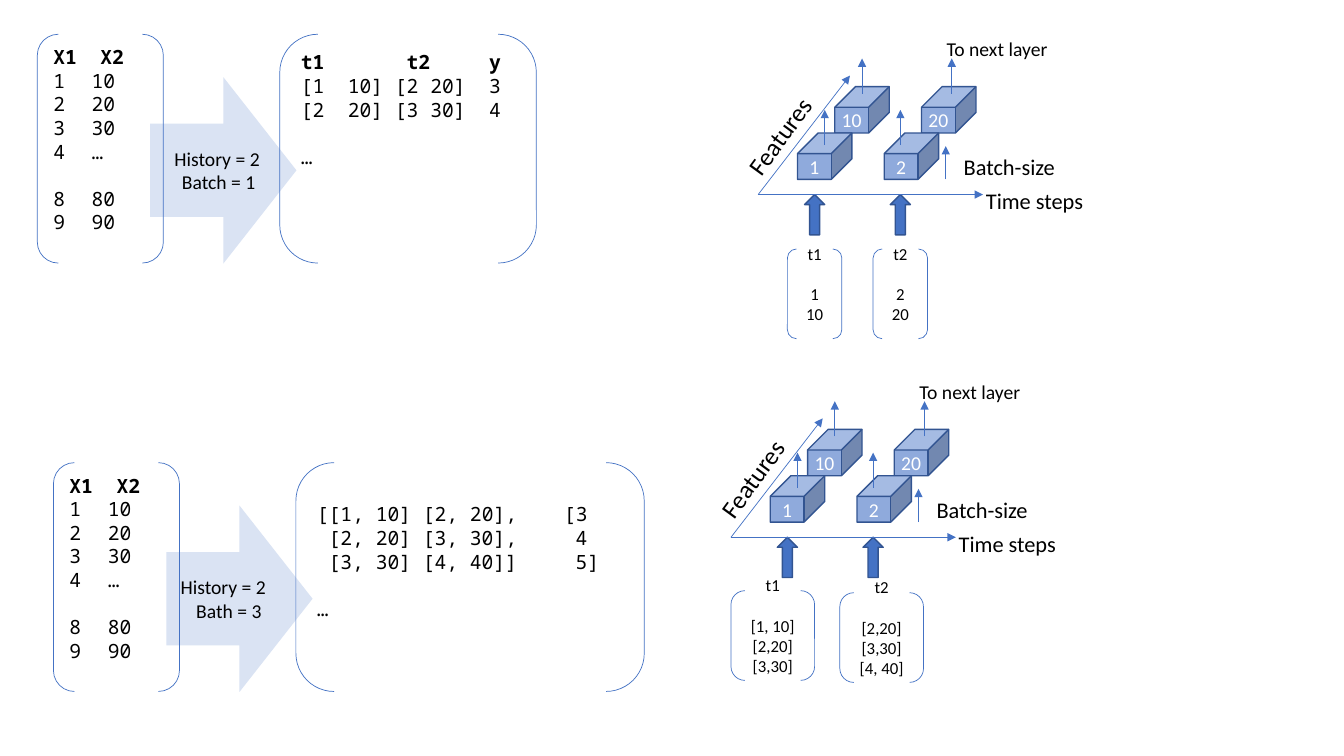
from dataclasses import dataclass

from lxml import etree
from pptx import Presentation
from pptx import util as u
from pptx.dml.color import RGBColor
from pptx.enum import shapes, text
from pptx.oxml import ns


@dataclass(frozen=True)
class Theme:
    accent: str = "4472C4"
    edge: str = "325491"
    cube: str = "8FAADC"
    pale: str = "DAE3F3"
    ink: str = "000000"
    paper: str = "FFFFFF"
    sans: str = "Calibri"
    mono: str = "Noto Sans Mono"
    small: float = 12
    normal: float = 14
    label: float = 16
    axis: float = 18
    thin: float = 0.5
    thick: float = 1
    small_gap: float = 14.65
    mono_gap: float = 16.8
    mono_column: float = 8.4


@dataclass(frozen=True)
class Line:
    cells: tuple
    bold: bool = False
    gap: float = 0
    start: int = 0


@dataclass(frozen=True)
class Box:
    left: float
    top: float
    width: float
    height: float

    def cut(self, left, top, width, height):
        return Box(self.left + left, self.top + top, width, height)

    def emu(self):
        return [cell(n) for n in (self.left, self.top, self.width, self.height)]


THEME = Theme()
CELL = 0.1
ALIGN = text.PP_ALIGN
ANCHOR = text.MSO_ANCHOR
SHAPE = shapes.MSO_SHAPE


def cell(count):
    return u.Inches(count * CELL)


def color(value):
    return RGBColor.from_string(value)


def row(*cells, **kwargs):
    return Line(cells, **kwargs)


def plain(*words, gap_at=None, gap=0):
    return [row((0, word), gap=gap if i == gap_at else 0) for i, word in enumerate(words)]


def write(shape, lines, size=THEME.normal, font=THEME.sans, ink=THEME.ink,
          align=ALIGN.LEFT, anchor=ANCHOR.TOP, insets=(1, 0.5, 1, 0.5), wrap=True):
    frame = shape.text_frame
    frame.word_wrap = wrap
    frame.vertical_anchor = anchor
    frame.margin_left, frame.margin_top, frame.margin_right, frame.margin_bottom = map(cell, insets)
    for i, line in enumerate(lines):
        paragraph = frame.paragraphs[0] if i == 0 else frame.add_paragraph()
        paragraph.alignment = align
        if line.gap:
            paragraph.space_before = u.Pt(line.gap)
        run = paragraph.add_run()
        run.text = "".join(("\t" if column else "") + word for column, word in line.cells)
        run.font.name, run.font.size, run.font.bold = font, u.Pt(size), line.bold
        run.font.color.rgb = color(ink)
        properties = paragraph._p.get_or_add_pPr()
        if line.start:
            indent = cell(3.8)
            properties.set("marL", str(indent))
            properties.set("indent", str(-indent))
            number = etree.SubElement(properties, ns.qn("a:buAutoNum"), type="arabicPlain")
            if line.start > 1:
                number.set("startAt", str(line.start))
        stops = [column for column, _ in line.cells if column]
        if stops:
            tabs = etree.SubElement(properties, ns.qn("a:tabLst"))
            for column in stops:
                position = u.Pt(column * THEME.mono_column)
                etree.SubElement(tabs, ns.qn("a:tab"), pos=str(position), algn="l")


def draw(slide, kind, box, fill=None, edge=None, weight=THEME.thick):
    shape = slide.shapes.add_shape(kind, *box.emu())
    shape.shadow.inherit = False
    if fill:
        shape.fill.solid()
        shape.fill.fore_color.rgb = color(fill)
    else:
        shape.fill.background()
    if edge:
        shape.line.color.rgb = color(edge)
        shape.line.width = u.Pt(weight)
    else:
        shape.line.fill.background()
    return shape


def bracket(slide, box, lines, **style):
    pair = draw(slide, SHAPE.DOUBLE_BRACKET, box, edge=THEME.accent, weight=THEME.thin)
    write(pair, lines, **style)


def label(slide, box, words, size, rotation=0, wrap=False):
    caption = slide.shapes.add_textbox(*box.emu())
    caption.rotation = rotation
    write(caption, plain(words), size=size, wrap=wrap)
    caption.text_frame.auto_size = text.MSO_AUTO_SIZE.SHAPE_TO_FIT_TEXT


def thin_arrow(slide, box, x1, y1, x2, y2):
    ends = (box.left + x1, box.top + y1, box.left + x2, box.top + y2)
    arrow = slide.shapes.add_connector(shapes.MSO_CONNECTOR.STRAIGHT, *map(cell, ends))
    arrow.line.color.rgb = color(THEME.accent)
    arrow.line.width = u.Pt(THEME.thin)
    etree.SubElement(arrow.line._get_or_add_ln(), ns.qn("a:tailEnd"), type="triangle")
    etree.SubElement(arrow._element.spPr, ns.qn("a:effectLst"))


def reshape_panel(slide, box, settings, settings_inset, windows, windows_top=0.5):
    step = draw(slide, SHAPE.RIGHT_ARROW, box.cut(11.2, 4.25, 14.5, 18.5), fill=THEME.pale)
    write(step, plain(*settings), align=ALIGN.RIGHT, anchor=ANCHOR.MIDDLE,
          insets=(0, 0, settings_inset, 0))
    series = [row((0, "X1"), (4, "X2"), bold=True)]
    series += [row((0, value), start=1) for value in ("10", "20", "30", "…")]
    series += [row((0, value), start=8, gap=gap)
               for value, gap in (("80", THEME.mono_gap), ("90", 0))]
    bracket(slide, box.cut(0, 0, 12.5, box.height), series, font=THEME.mono)
    rest = row((0, "…"), gap=THEME.mono_gap)
    bracket(slide, box.cut(24.05, 0, box.width - 24.05, box.height), windows + [rest],
            font=THEME.mono, insets=(1, windows_top, 1, 0.5))


def network_panel(slide, box, inputs):
    for step, (near, far) in enumerate((("1", "10"), ("2", "20"))):
        shift = 8.6 * step
        for left, top, value in ((11.1, 5.4, far), (7.4, 10, near)):
            unit = draw(slide, SHAPE.CUBE, box.cut(left + shift, top, 5.4, 4.6),
                        fill=THEME.cube, edge=THEME.edge)
            unit.adjustments[0] = 0.445
            write(unit, plain(value), ink=THEME.paper, align=ALIGN.CENTER,
                  anchor=ANCHOR.MIDDLE, insets=(0, 0, 0, 0))
        draw(slide, SHAPE.UP_ARROW, box.cut(8.1 + 8.5 * step, 16.1, 2, 4),
             fill=THEME.accent, edge=THEME.edge)
    for left, top, width, words in inputs:
        bracket(slide, box.cut(left, top, width, 8.9),
                plain(*words, gap_at=1, gap=THEME.small_gap), size=THEME.small,
                align=ALIGN.CENTER, anchor=ANCHOR.MIDDLE, insets=(0, 0, 0, 2))
    thin_arrow(slide, box, 3.5, 16.1, 12.6, 4.3)
    thin_arrow(slide, box, 3.5, 16.1, 25.8, 16.1)
    thin_arrow(slide, box, 22.1, 14.6, 22.1, 11.3)
    for x, y in ((10.1, 11.2), (13.8, 6.1), (22.7, 6.1), (17.6, 11.2)):
        thin_arrow(slide, box, x, y, x, y - 3.5)
    label(slide, box.cut(0, 7.8, 11.9, 4), "Features", THEME.axis, rotation=306.2, wrap=True)
    label(slide, box.cut(25.1, 14.9, 11.8, 3.7), "Time steps", THEME.label)
    label(slide, box.cut(22.9, 11.5, 11.2, 3.7), "Batch-size", THEME.label)
    label(slide, box.cut(21.2, 0, 12.1, 3.4), "To next layer", THEME.normal)


def main():
    deck = Presentation()
    deck.slide_width, deck.slide_height = u.Inches(13.33), u.Inches(7.5)
    slide = deck.slides.add_slide(deck.slide_layouts[6])
    reshape_panel(slide, Box(3.7, 3.4, 49.5, 22.7), ("History = 2", "Batch = 1 "), 0, [
        row((0, "t1"), (9, "t2"), (16, "y"), bold=True),
        row((0, "[1"), (4, "10]"), (8, "[2 20]"), (16, "3")),
        row((0, "[2"), (4, "20]"), (8, "[3 30]"), (16, "4")),
    ])
    network_panel(slide, Box(71.7, 3.2, 36.9, 30.4), [
        (6.4, 21.5, 5.4, ("t1", "1", "10")),
        (14.9, 21.5, 5.4, ("t2", "2", "20")),
    ])
    reshape_panel(slide, Box(5.3, 45.9, 58.6, 22.7), ("History = 2", "Bath = 3 "), 1, [
        row((0, "[[1, 10] [2, 20],"), (21, "[3")),
        row((1, "[2, 20] [3, 30],"), (22, "4")),
        row((1, "[3, 30] [4, 40]]"), (22, "5]")),
    ], windows_top=2.83)
    network_panel(slide, Box(69, 37.2, 36.9, 30.5), [
        (3.5, 21.4, 8.3, ("t1", "[1, 10]", "[2,20]", "[3,30]")),
        (14.3, 21.6, 8.3, ("t2", "[2,20]", "[3,30]", "[4, 40]")),
    ])
    deck.save("out.pptx")


if __name__ == "__main__":
    main()
